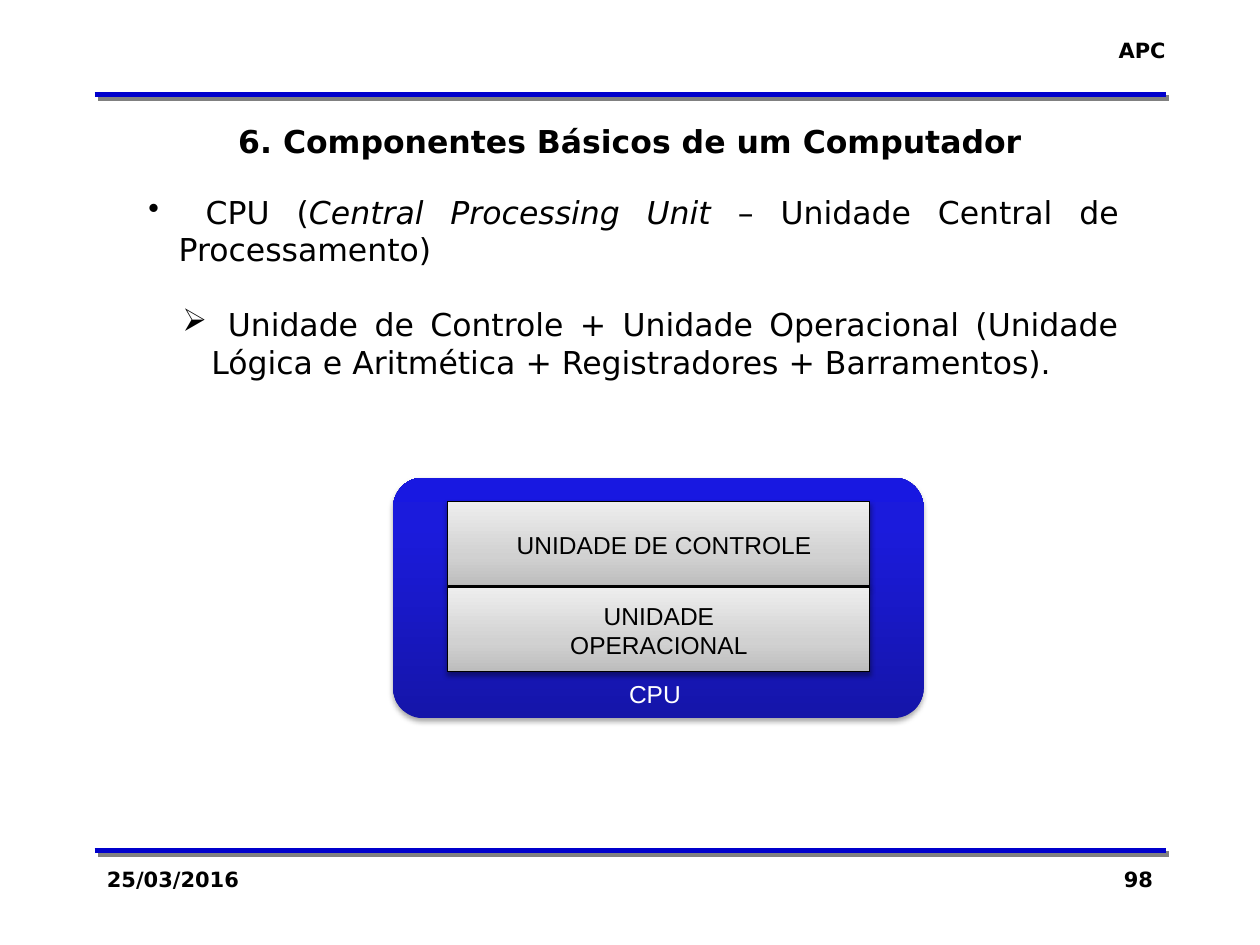
from lxml.etree import SubElement
from pptx import Presentation
from pptx.dml.color import RGBColor
from pptx.enum.shapes import MSO_CONNECTOR as CONN, MSO_SHAPE as SHAPE
from pptx.enum.text import PP_ALIGN as ALIGN
from pptx.oxml.ns import qn
from pptx.util import Inches, Pt

COLORS = {
    "black": "000000",
    "white": "FFFFFF",
    "rule": "0000CC",
    "rule_shadow": "808080",
}
CPU_STOPS = [(0, "1515A9"), (80, "1B1BDC"), (100, "1818E1")]
UNIT_STOPS = [(0, "BDBDBD"), (35, "D1D1D1"), (100, "EEEEEE")]
BODY_FONT, DIAGRAM_FONT = "DejaVu Sans", "Arial"


def rgb(name):
    return RGBColor.from_string(COLORS[name])


def add_color(parent, value, alpha=100):
    clr = SubElement(parent, qn("a:srgbClr"), val=value)
    if alpha < 100:
        SubElement(clr, qn("a:alpha"), val=str(alpha * 1000))


def add_shadow(effects, color, alpha, blur, dist, angle):
    shadow = SubElement(effects, qn("a:outerShdw"), blurRad=str(Pt(blur)),
                        dist=str(Pt(dist)), dir=str(angle * 60000),
                        algn="ctr", rotWithShape="0")
    add_color(shadow, COLORS[color], alpha)


def add_rule(slide, y):
    line = slide.shapes.add_connector(CONN.STRAIGHT, Inches(0.75), Inches(y),
                                      Inches(9.25), Inches(y))
    line.line.color.rgb = rgb("rule")
    line.line.width = Pt(3)
    effects = SubElement(line._element.spPr, qn("a:effectLst"))
    add_shadow(effects, "rule_shadow", 100, 0, 2.8, 45)


def format_run(r, size, font=BODY_FONT, color="black", bold=False, italic=False):
    r.font.size = Pt(size)
    r.font.name = font
    r.font.color.rgb = rgb(color)
    r.font.bold = bold
    r.font.italic = italic


def add_box(slide, x, y, w, h, wrap=True):
    tf = slide.shapes.add_textbox(Inches(x), Inches(y), Inches(w), Inches(h)).text_frame
    tf.word_wrap = wrap
    return tf


def add_label(slide, text, box, align=ALIGN.LEFT, size=12, wrap=True, **style):
    tf = add_box(slide, *box, wrap=wrap)
    tf.text = text
    p = tf.paragraphs[0]
    p.alignment = align
    format_run(p.runs[0], size, **style)


def set_bullet(p, char, margin, hanging):
    pPr = p._p.get_or_add_pPr()
    pPr.set("marL", str(Inches(margin)))
    pPr.set("indent", str(-Inches(hanging)))
    SubElement(pPr, qn("a:buChar"), char=char)


def add_topics(slide):
    tf = add_box(slide, 1.08, 1.48, 7.9, 1.62)
    p = tf.paragraphs[0]
    for text, italic in [(" CPU (", False),
                         ("Central Processing Unit", True),
                         (" – Unidade Central de Processamento)", False)]:
        r = p.add_run()
        r.text = text
        format_run(r, 18, italic=italic)
    set_bullet(p, "•", 0.24, 0.24)

    sub = tf.add_paragraph()
    sub.text = (" Unidade de Controle + Unidade Operacional (Unidade Lógica e "
                "Aritmética + Registradores + Barramentos).")
    format_run(sub.runs[0], 18)
    sub.level = 1
    sub.space_before = Pt(21)
    set_bullet(sub, "➢", 0.5, 0.23)
    for p in tf.paragraphs:
        p.alignment = ALIGN.JUSTIFY


def add_block(slide, kind, box, stops, alpha, dist, outlined=True):
    s = slide.shapes.add_shape(kind, *map(Inches, box))
    s.fill.gradient()
    s.fill.gradient_angle = 90
    gs_list = s._element.spPr.find(".//" + qn("a:gsLst"))
    gs_list.clear()
    for pos, value in stops:
        add_color(SubElement(gs_list, qn("a:gs"), pos=str(pos * 1000)), value)
    if outlined:
        s.line.color.rgb = rgb("black")
        s.line.width = Pt(0.75)
    else:
        s.line.fill.background()
    s.shadow.inherit = False
    effects = s._element.spPr.find(qn("a:effectLst"))
    add_shadow(effects, "black", alpha, 3.1, dist, 90)
    return s


def add_cpu_diagram(slide):
    cpu = add_block(slide, SHAPE.ROUNDED_RECTANGLE, (3.12, 3.79, 4.21, 1.91),
                    CPU_STOPS, 35, 1.8, outlined=False)
    cpu.adjustments[0] = 0.125
    for y in (3.98, 4.66):
        add_block(slide, SHAPE.RECTANGLE, (3.55, y, 3.35, 0.67), UNIT_STOPS, 38, 1.6)

    for text, box, align, color in [
        ("UNIDADE DE CONTROLE", (3.61, 4.16, 2.93, 0.34), ALIGN.RIGHT, "black"),
        ("UNIDADE OPERACIONAL", (4.05, 4.72, 2.36, 0.57), ALIGN.CENTER, "black"),
        (" CPU", (4.84, 5.34, 2, 0.34), ALIGN.LEFT, "white"),
    ]:
        add_label(slide, text, box, align, 14, font=DIAGRAM_FONT, color=color)


def main():
    prs = Presentation()
    prs.slide_width, prs.slide_height = Inches(10), Inches(7.5)
    slide = prs.slides.add_slide(prs.slide_layouts[6])

    # Header and footer
    for y in (6.75, 0.75):
        add_rule(slide, y)
    add_label(slide, "APC", (8.77, 0.25, 0.58, 0.3), ALIGN.RIGHT, wrap=False, bold=True)
    add_label(slide, "25/03/2016", (0.75, 6.83, 2.08, 0.5), bold=True)
    add_label(slide, "98", (7.17, 6.83, 2.08, 0.5), ALIGN.RIGHT, bold=True)

    # Title and topics
    add_label(slide, "6. Componentes Básicos de um Computador",
              (0.75, 0.92, 8.5, 0.71), ALIGN.CENTER, 18, bold=True)
    add_topics(slide)

    # CPU diagram
    add_cpu_diagram(slide)
    prs.save("out.pptx")


if __name__ == "__main__":
    main()
